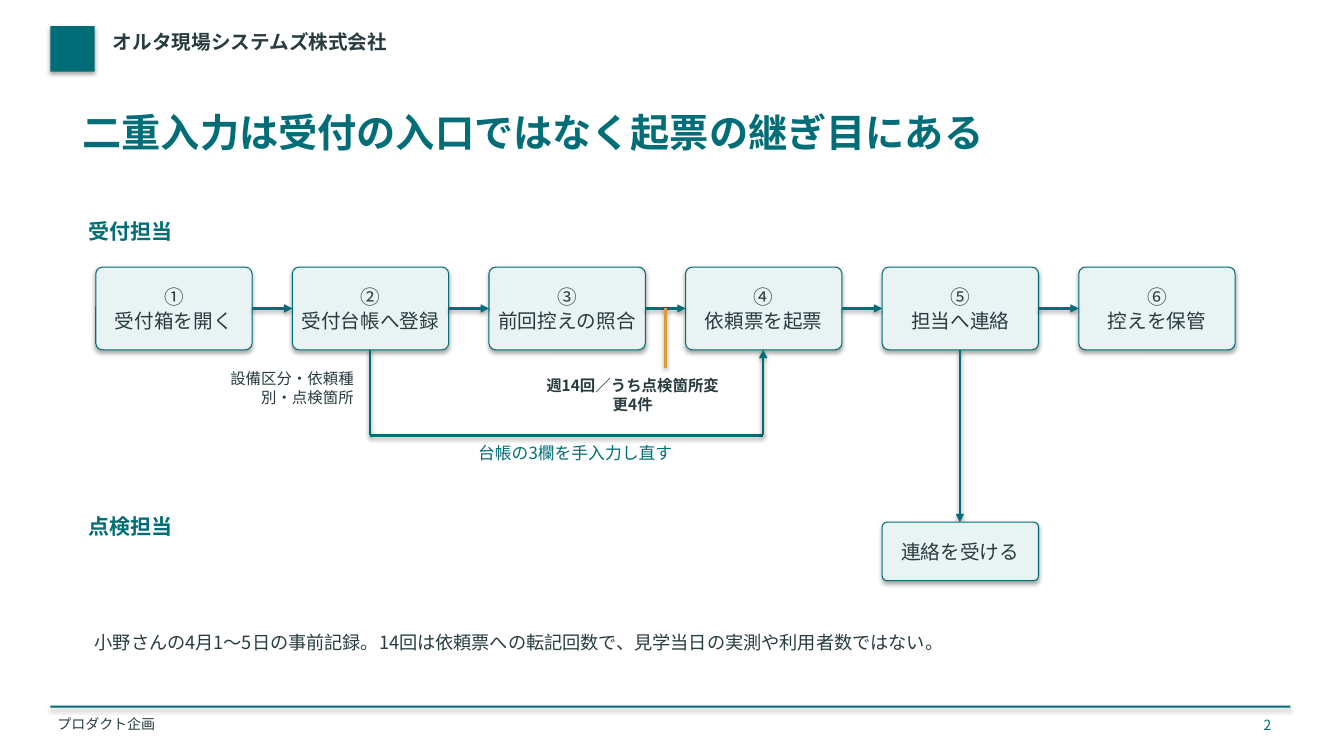
from lxml import etree
from pptx import Presentation
from pptx.dml.color import RGBColor
from pptx.enum.shapes import MSO_CONNECTOR, MSO_SHAPE
from pptx.enum.text import MSO_ANCHOR, MSO_AUTO_SIZE, PP_ALIGN
from pptx.oxml.ns import qn
from pptx.util import Emu, Pt

EMU_PER_PX = 9144
RECTANGLE, ROUNDED = MSO_SHAPE.RECTANGLE, MSO_SHAPE.ROUNDED_RECTANGLE
STRAIGHT = MSO_CONNECTOR.STRAIGHT
LEFT, CENTER, RIGHT = PP_ALIGN.LEFT, PP_ALIGN.CENTER, PP_ALIGN.RIGHT
TOP, MIDDLE = MSO_ANCHOR.TOP, MSO_ANCHOR.MIDDLE
GROW = MSO_AUTO_SIZE.SHAPE_TO_FIT_TEXT

FONT = "Noto Sans CJK JP"
TEAL, INK, PALE, GOLD = "006D77", "283C40", "EAF3F3", "D69E36"


def px(*lengths):
    return [Emu(length * EMU_PER_PX) for length in lengths]


def color(hex_string):
    return RGBColor.from_string(hex_string)


class FlowSlide:
    def __init__(self, presentation):
        self.slide = presentation.slides.add_slide(presentation.slide_layouts[5])
        self.shapes = self.slide.shapes

    def set_text(self, shape, lines, size, ink, bold, align, anchor, inset):
        frame = shape.text_frame
        frame.word_wrap = True
        frame.vertical_anchor = anchor
        frame.margin_left, frame.margin_top = px(*inset)
        frame.margin_right, frame.margin_bottom = px(*inset)
        paragraph = frame.paragraphs[0]
        paragraph.alignment = align
        for index, line in enumerate(lines):
            if index:
                paragraph.add_line_break()
            run = paragraph.add_run()
            run.text = line
            run.font.name = FONT
            run.font.size = Pt(size)
            run.font.bold = bold
            run.font.color.rgb = color(ink)
            east_asian = etree.SubElement(run._r.rPr, qn("a:ea"))
            east_asian.set("typeface", FONT)

    def title(self, box, text):
        shape = self.shapes.title
        shape.left, shape.top, shape.width, shape.height = px(*box)
        self.set_text(shape, [text], 28, TEAL, True, LEFT, TOP, (2, 2))
        shape.text_frame.auto_size = GROW

    def text(self, box, text, size, ink=INK, bold=False, align=LEFT,
             anchor=MIDDLE, inset=(4, 3)):
        shape = self.shapes.add_textbox(*px(*box))
        self.set_text(shape, [text], size, ink, bold, align, anchor, inset)
        shape.text_frame.auto_size = GROW

    def bar(self, box):
        shape = self.shapes.add_shape(RECTANGLE, *px(*box))
        shape.fill.solid()
        shape.fill.fore_color.rgb = color(TEAL)
        shape.line.fill.background()

    def step(self, box, lines):
        shape = self.shapes.add_shape(ROUNDED, *px(*box))
        shape.adjustments[0] = 0.08
        shape.fill.solid()
        shape.fill.fore_color.rgb = color(PALE)
        shape.line.color.rgb = color(TEAL)
        shape.line.width = Pt(0.75)
        self.set_text(shape, lines, 14, INK, False, CENTER, MIDDLE, (5, 3))

    def line(self, start, end, ink=TEAL, arrow=False):
        connector = self.shapes.add_connector(STRAIGHT, *px(*start, *end))
        connector.line.color.rgb = color(ink)
        connector.line.width = Pt(1.8)
        if arrow:
            outline = connector._element.spPr.find(qn("a:ln"))
            etree.SubElement(outline, qn("a:tailEnd")).set("type", "triangle")


def main():
    presentation = Presentation()
    presentation.slide_width, presentation.slide_height = px(1333, 750)
    flow = FlowSlide(presentation)

    flow.bar((50, 26, 44, 45))
    flow.text((110, 28, 1000, 40), "オルタ現場システムズ株式会社", 14,
              bold=True, anchor=TOP, inset=(2, 2))
    flow.bar((50, 700, 1230, 2))
    flow.text((55, 708, 900, 22), "プロダクト企画", 10, anchor=TOP, inset=(2, 2))
    flow.title((80, 105, 1170, 75), "二重入力は受付の入口ではなく起票の継ぎ目にある")
    flow.text((1215, 708, 50, 22), "2", 10, TEAL, align=RIGHT)

    for lane, lane_top in (("受付担当", 212), ("点検担当", 504)):
        flow.text((84, lane_top, 110, 35), lane, 15, TEAL, bold=True)

    steps = (("①", "受付箱を開く"), ("②", "受付台帳へ登録"), ("③", "前回控えの照合"),
             ("④", "依頼票を起票"), ("⑤", "担当へ連絡"), ("⑥", "控えを保管"))
    top, width, height, pitch = 265, 155, 82, 195
    middle, bottom = top + height // 2, top + height
    lefts = [95 + pitch * index for index in range(len(steps))]
    centers = [left + width // 2 for left in lefts]
    for left, lines in zip(lefts, steps):
        flow.step((left, top, width, height), lines)
    for left, following in zip(lefts, lefts[1:]):
        flow.line((left + width, middle), (following, middle), arrow=True)

    register, issue, contact = centers[1], centers[3], centers[4]
    loop = 432
    flow.text((220, 353, 135, 64), "設備区分・依頼種別・点検箇所", 11, align=RIGHT)
    flow.line((register, bottom), (register, loop))
    flow.line((register, loop), (issue, loop))
    flow.line((issue, loop), (issue, bottom), arrow=True)
    flow.text((438, 434, 265, 30), "台帳の3欄を手入力し直す", 12, TEAL, align=CENTER)

    seam = lefts[3] - (pitch - width) // 2
    flow.line((seam, middle), (seam, 365), GOLD)
    flow.text((535, 364, 185, 55), "週14回／うち点検箇所変更4件", 11,
              bold=True, align=CENTER)

    receipt = 518
    flow.line((contact, bottom), (contact, receipt), arrow=True)
    flow.step((lefts[4], receipt, width, 58), ["連絡を受ける"])
    flow.text((90, 615, 1150, 45),
              "小野さんの4月1〜5日の事前記録。14回は依頼票への転記回数で、"
              "見学当日の実測や利用者数ではない。", 13)

    presentation.save("out.pptx")


if __name__ == "__main__":
    main()
